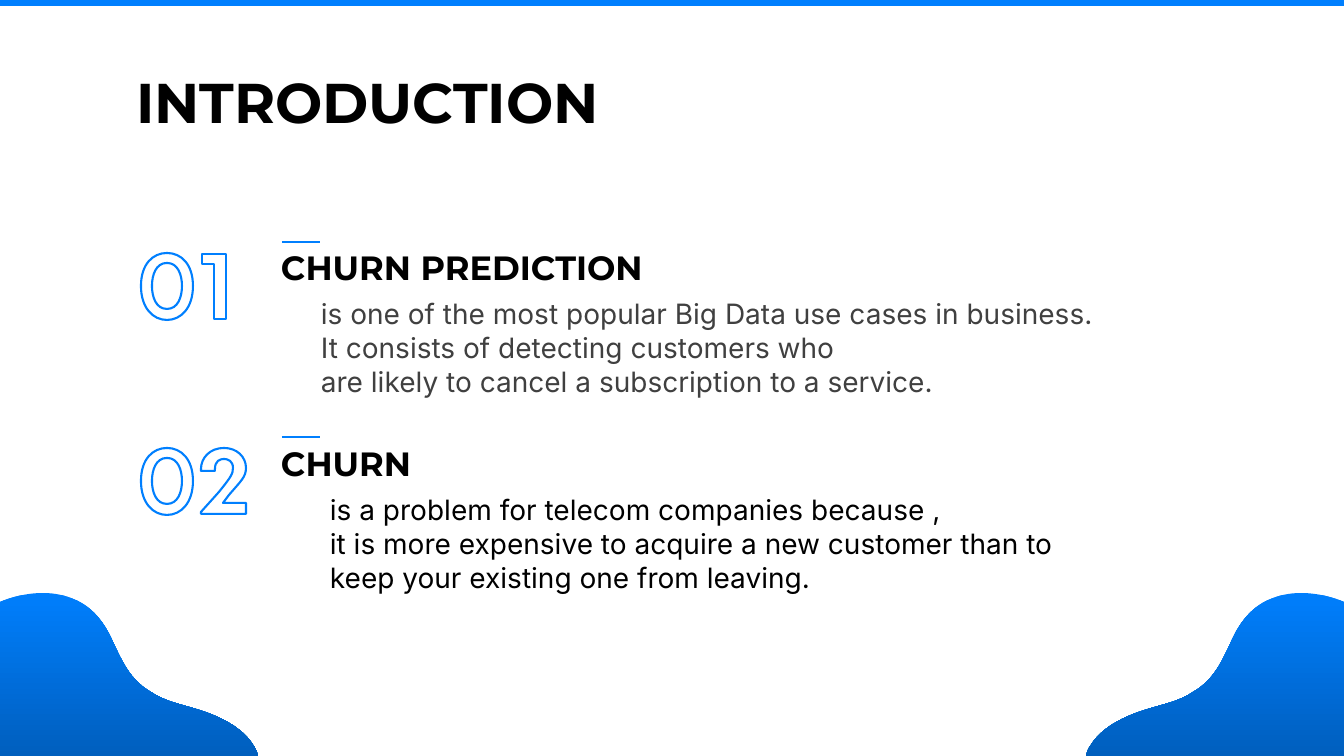
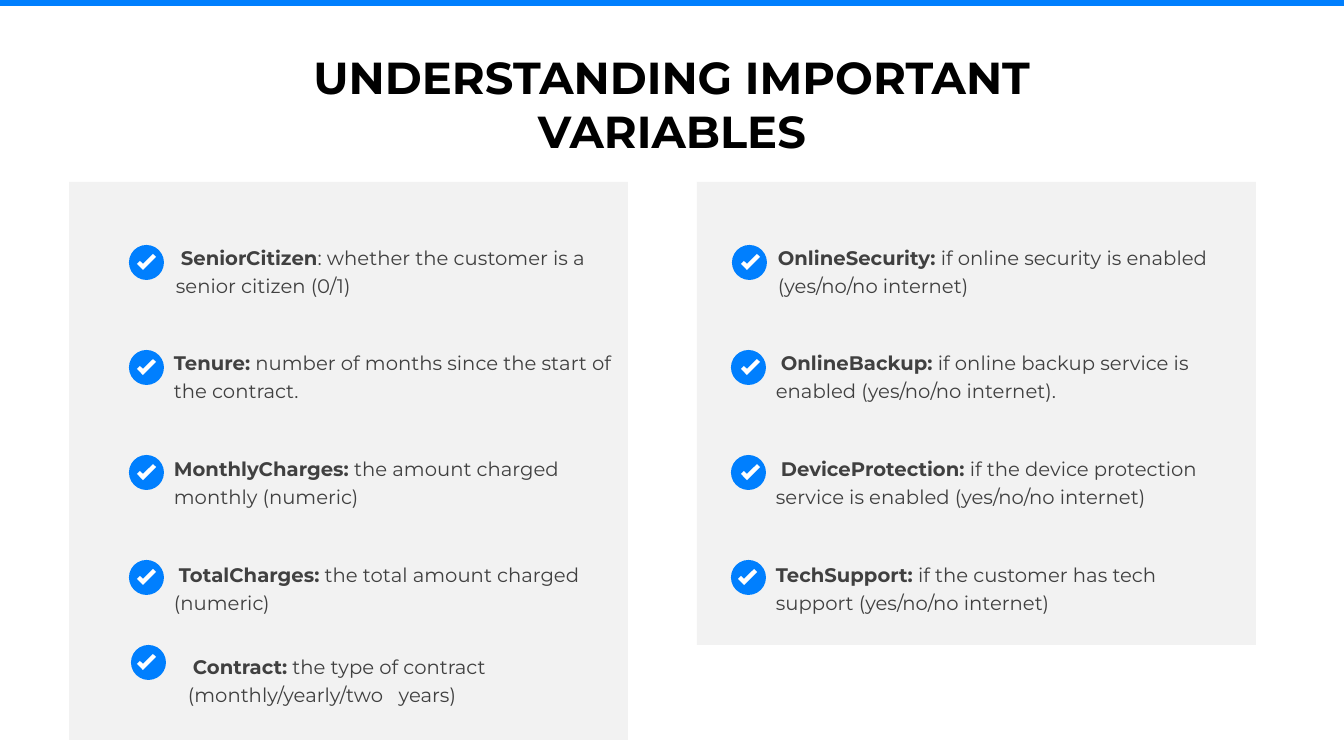
"""Build two slides: an introduction to churn and a list of customer variables."""
from lxml import etree
from pptx import Presentation
from pptx.dml.color import RGBColor
from pptx.enum.shapes import MSO_CONNECTOR, MSO_SHAPE
from pptx.enum.text import MSO_ANCHOR, MSO_AUTO_SIZE, PP_ALIGN
from pptx.oxml.ns import qn
from pptx.util import Pt

PX = 9071
SLIDE_WIDTH, SLIDE_HEIGHT = 1344, 756
BLUE = RGBColor(0x00, 0x7F, 0xFE)
DARK_BLUE = RGBColor(0x00, 0x5F, 0xBE)
BLACK = RGBColor(0x00, 0x00, 0x00)
GRAY = RGBColor(0x40, 0x40, 0x40)
PALE_GRAY = RGBColor(0xF2, 0xF2, 0xF2)
WHITE = RGBColor(0xFF, 0xFF, 0xFF)
HEADING_FONT, BODY_FONT = "Montserrat", "Inter"
RECTANGLE, OVAL = MSO_SHAPE.RECTANGLE, MSO_SHAPE.OVAL
STRAIGHT = MSO_CONNECTOR.STRAIGHT
TOP, CENTER, NO_AUTOFIT = MSO_ANCHOR.TOP, PP_ALIGN.CENTER, MSO_AUTO_SIZE.NONE

ZERO = [
    [(26, 10), (15, 10, 11, 22, 11, 33), (11, 44, 15, 56, 26, 56),
     (37, 56, 41, 44, 41, 33), (41, 22, 37, 10, 26, 10)],
    [(26, 0), (40, 0, 52, 11, 52, 33), (52, 55, 40, 67, 26, 67),
     (12, 67, 0, 55, 0, 33), (0, 11, 12, 0, 26, 0)],
]
ONE = [(61, 1), (85, 1), (85, 66), (73, 66), (73, 11), (61, 11)]
TWO = [
    (83, 0), (96, 0, 105, 9, 105, 20), (105, 29, 100, 33, 88, 47), (82, 55),
    (105, 55), (105, 66), (60, 66), (60, 64), (78, 44), (90, 29, 92, 26, 92, 20),
    (92, 13, 87, 11, 83, 11), (79, 11, 74, 13, 74, 21), (74, 23), (60, 23),
    (60, 21), (60, 10, 69, 0, 83, 0),
]
WAVE = [
    (5, 600), (24, 593, 48, 590, 68, 597), (93, 605, 105, 624, 113, 642),
    (122, 661, 130, 680, 151, 692), (164, 701, 180, 704, 196, 709),
    (220, 716, 243, 728, 253, 745), (256, 749, 257, 752, 258, 756),
    (0, 756), (0, 602), (2, 601, 3, 601, 5, 600),
]
CHECK = [(16, 0), (6, 10), (3, 7), (0, 10), (6, 16), (19, 3)]


def add_solid(slide, kind, box, color):
    shape = slide.shapes.add_shape(kind, *[length * PX for length in box])
    shape.shadow.inherit = False
    shape.fill.solid()
    shape.fill.fore_color.rgb = color
    shape.line.fill.background()


def add_outline(slide, contours, left, top, direction=1):
    builder = None
    for contour in contours:
        placed = [
            ((left + direction * segment[axis]) * PX, (top + segment[axis + 1]) * PX)
            for segment in contour for axis in range(0, len(segment), 2)]
        if builder is None:
            builder = slide.shapes.build_freeform(*placed[0], scale=1.0)
        else:
            builder.move_to(*placed[0])
        builder.add_line_segments(placed[1:], close=True)
    shape = builder.convert_to_shape()
    lines = iter(list(shape._element.iter(qn("a:lnTo"))))
    for segment in [segment for contour in contours for segment in contour[1:]]:
        node = next(lines)
        if len(segment) == 6:
            curve = etree.Element(qn("a:cubicBezTo"))
            node.addprevious(curve)
            for control in (node, next(lines), next(lines)):
                curve.append(control[0])
                control.getparent().remove(control)
    shape.shadow.inherit = False
    shape.fill.solid()
    shape.fill.fore_color.rgb = WHITE
    shape.line.fill.background()
    return shape


presentation = Presentation()
presentation.slide_width = SLIDE_WIDTH * PX
presentation.slide_height = SLIDE_HEIGHT * PX

slides = []
for text, box, size in [
    ("INTRODUCTION", (80, 62, 575, 78), 40),
    ("UNDERSTANDING IMPORTANT VARIABLES", (294, 45, 756, 119), 32),
]:
    slide = presentation.slides.add_slide(presentation.slide_layouts[5])
    slides.append(slide)
    title = slide.shapes.title
    title.left, title.top, title.width, title.height = [length * PX for length in box]
    frame = title.text_frame
    frame.text = text
    frame.word_wrap = True
    frame.auto_size = NO_AUTOFIT
    frame.vertical_anchor = TOP
    paragraph = frame.paragraphs[0]
    paragraph.alignment = CENTER
    paragraph.font.name = HEADING_FONT
    paragraph.font.size = Pt(size)
    paragraph.font.bold = True
    paragraph.font.color.rgb = BLACK
    add_solid(slide, RECTANGLE, (0, 0, SLIDE_WIDTH, 6), BLUE)
introduction, variables = slides

sections = [
    (ONE, 242, "CHURN PREDICTION", (271, 242, 597, 68), (311, 292, 803, 146), GRAY, [
        "is one of the most popular Big Data use cases in business.",
        "It consists of detecting customers who",
        "are likely to cancel a subscription to a service.",
    ]),
    (TWO, 437, "CHURN", (271, 438, 151, 50), (320, 488, 808, 159), BLACK, [
        "is a problem for telecom companies because ,",
        "it is more expensive to acquire a new customer than to "
        "keep your existing one from leaving.",
    ]),
]
for digit, top, heading, heading_box, body_box, body_color, body in sections:
    number = add_outline(introduction, ZERO + [digit], 141, top + 11)
    number.line.color.rgb = BLUE
    number.line.width = Pt(1.5)
    accent = introduction.shapes.add_connector(
        STRAIGHT, 282 * PX, top * PX, 320 * PX, top * PX)
    accent.line.color.rgb = BLUE
    accent.line.width = Pt(2)
    etree.SubElement(accent._element.spPr, qn("a:effectLst"))
    for box, lines, font_name, size, bold, color in [
        (heading_box, [heading], HEADING_FONT, 24, True, BLACK),
        (body_box, body, BODY_FONT, 20, False, body_color),
    ]:
        text_box = introduction.shapes.add_textbox(*[length * PX for length in box])
        frame = text_box.text_frame
        frame.word_wrap = True
        frame.text = "\n".join(lines)
        for paragraph in frame.paragraphs:
            paragraph.font.name = font_name
            paragraph.font.size = Pt(size)
            paragraph.font.bold = bold
            paragraph.font.color.rgb = color

for left, direction in [(0, 1), (SLIDE_WIDTH, -1)]:
    wave = add_outline(introduction, [WAVE], left, 0, direction)
    wave.fill.gradient()
    wave.fill.gradient_angle = 270
    for stop, color in zip(wave.fill.gradient_stops, (BLUE, DARK_BLUE)):
        stop.color.rgb = color

for left, height in [(697, 463), (69, 558)]:
    add_solid(variables, RECTANGLE, (left, 182, 559, height), PALE_GRAY)

row_tops = [(245, 236), (350, 341), (455, 447), (560, 553), (645, 645)]
columns = [
    [
        (129, 137, 166, 5, "SeniorCitizen", [": whether the customer is a senior citizen (0/1)"]),
        (129, 137, 164, 0, "Tenure:", [" number of months since the start of the contract."]),
        (129, 137, 164, 0, "MonthlyCharges:", [" the amount charged monthly (numeric)"]),
        (129, 137, 164, 5, "TotalCharges:", [" the total amount charged (numeric)"]),
        (131, 137, 178, 5, "Contract:",
         [" the type of contract (monthly/yearly/two", " ", "years)"]),
    ],
    [
        (732, 741, 768, 0, "OnlineSecurity:",
         [" if online security is enabled (yes/no/no internet)"]),
        (731, 741, 766, 5, "OnlineBackup:",
         [" if online backup service is enabled (yes/no/no internet)."]),
        (731, 741, 766, 5, "DeviceProtection:",
         [" if the device protection service is enabled (yes/no/no internet)"]),
        (731, 738, 766, 0, "TechSupport:",
         [" if the customer has tech support (yes/no/no internet)"]),
    ],
]
for column in columns:
    for (circle_top, text_top), item in zip(row_tops, column):
        circle_left, check_left, text_left, indent, name, description = item
        add_solid(variables, OVAL, (circle_left, circle_top, 35, 35), BLUE)
        add_outline(variables, [CHECK], check_left, circle_top + 9)
        text_box = variables.shapes.add_textbox(
            text_left * PX, text_top * PX, 463 * PX, 67 * PX)
        frame = text_box.text_frame
        frame.word_wrap = True
        paragraph = frame.paragraphs[0]
        paragraph.line_spacing = 1.2
        if indent:
            properties = paragraph._p.get_or_add_pPr()
            properties.set("marL", "0")
            properties.set("indent", str(indent * PX))
        paragraph.font.name = HEADING_FONT
        paragraph.font.size = Pt(14)
        paragraph.font.color.rgb = GRAY
        name_run = paragraph.add_run()
        name_run.text = name
        name_run.font.bold = True
        for text in description:
            run = paragraph.add_run()
            run.text = text
            if text == " ":
                run._r.get_or_add_rPr().set("spc", "730")

presentation.save("out.pptx")
